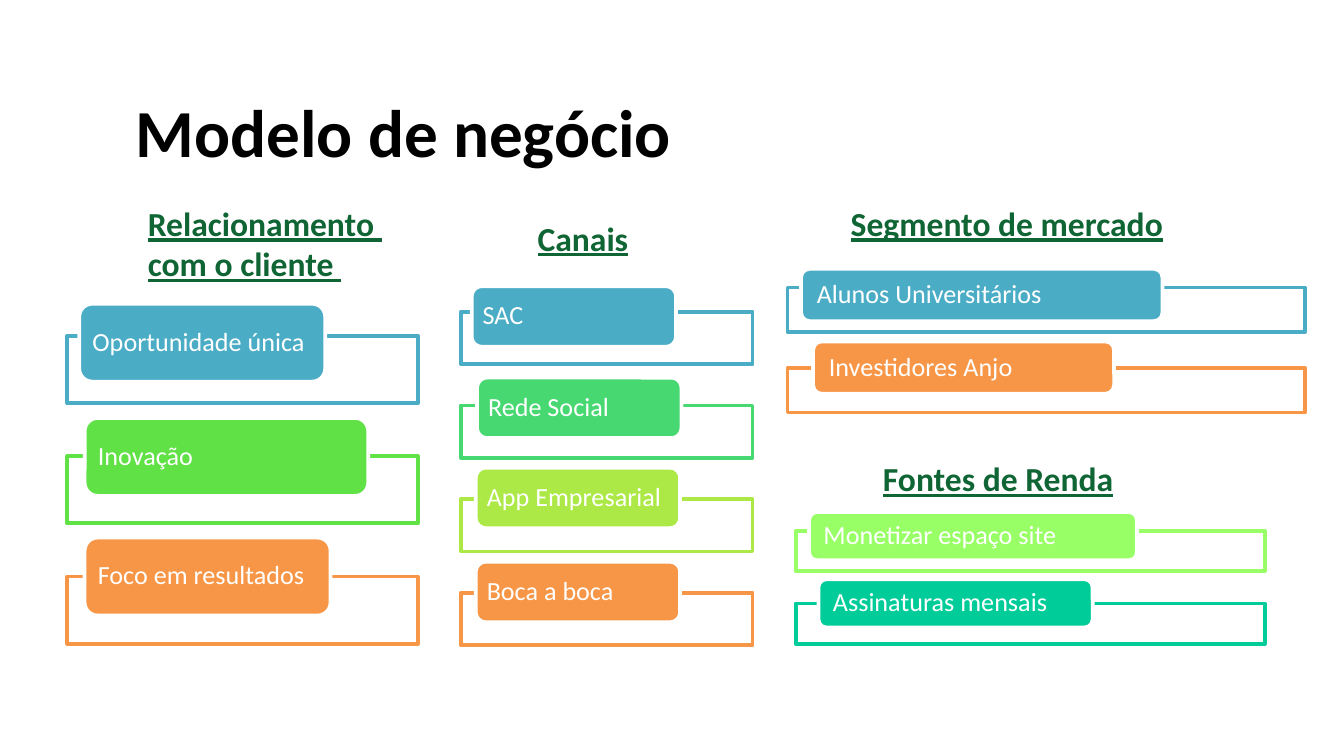
from lxml import etree
from pptx import Presentation
from pptx.dml.color import RGBColor
from pptx.enum import shapes as sh, text as tx
from pptx.oxml.ns import qn
from pptx.util import Inches, Pt


def rgb(code):
    return RGBColor.from_string(code)


def add_box(group, kind, area, fill, line):
    box = group.shapes.add_shape(kind, *map(Inches, area))
    box.shadow.inherit = False
    box.fill.solid()
    box.fill.fore_color.rgb = rgb(fill)
    box.line.color.rgb = rgb(line)
    box.line.width = Pt(2)
    return box


WHITE = "FFFFFF"
BLUE = "4BACC6"
ORANGE = "F79646"

prs = Presentation()
prs.slide_width = Inches(10)
prs.slide_height = Inches(10) * 9 // 16
slide = prs.slides.add_slide(prs.slide_layouts[5])

title = slide.shapes.title
title.left, title.top = Inches(0.91), Inches(0.62)
title.width, title.height = Inches(8.74), Inches(0.71)
title.text = "Modelo de negócio"
title.text_frame.vertical_anchor = tx.MSO_ANCHOR.MIDDLE
para = title.text_frame.paragraphs[0]
para.alignment = tx.PP_ALIGN.LEFT
para.font.name = "Calibri"
para.font.size = Pt(36)
para.font.bold = True
para.font.color.rgb = rgb("000000")

heads = [
    ("Relacionamento \ncom o cliente ", 1.05, 1.46, 2.36, 0.68),
    ("Canais", 3.95, 1.57, 2.45, 0.36),
    ("Segmento de mercado", 6.28, 1.46, 2.43, 0.36),
    ("Fontes de Renda", 6.52, 3.36, 2.8, 0.36),
]
for words, *area in heads:
    frame = slide.shapes.add_textbox(*map(Inches, area)).text_frame
    frame.word_wrap = True
    frame.margin_left = frame.margin_right = Inches(0.05)
    frame.margin_top = frame.margin_bottom = Inches(0.05)
    frame.text = words
    for para in frame.paragraphs:
        para.font.name = "Calibri"
        para.font.size = Pt(18)
        para.font.bold = True
        para.font.underline = True
        para.font.color.rgb = rgb("106534")

lists = [
    (0.5, 2.5, 4.29, 2.61, 0.5, 0.58, 0.07, [
        ("Oportunidade única", BLUE, 0.59, 2.26, 1.83),
        ("Inovação", "60E146", 0.63, 3.11, 2.11),
        ("Foco em resultados", ORANGE, 0.63, 4, 1.83),
    ]),
    (3.43, 2.32, 4.41, 2.17, 0.39, 0.45, 0.06, [
        ("SAC", BLUE, 3.51, 2.13, 1.52),
        ("Rede Social", "47D872", 3.55, 2.81, 1.52),
        ("App Empresarial", "ACE946", 3.54, 3.48, 1.52),
        ("Boca a boca", ORANGE, 3.54, 4.18, 1.52),
    ]),
    (5.86, 2.14, 2.74, 3.85, 0.33, 0.39, 0.1, [
        ("Alunos Universitários", BLUE, 5.96, 2, 2.69),
        ("Investidores Anjo", ORANGE, 6.05, 2.54, 2.24),
    ]),
    (5.92, 3.95, 4.49, 3.49, 0.3, 0.36, 0.09, [
        ("Monetizar espaço site", "99FF66", 6.02, 3.81, 2.44),
        ("Assinaturas mensais", "00CC99", 6.09, 4.31, 2.04),
    ]),
]
for left, first, last, width, height, tall, inset, items in lists:
    group = slide.shapes.add_group_shape()
    step = (last - first) / (len(items) - 1)
    for row, (words, color, x, y, wide) in enumerate(items):
        area = (left, first + row * step, width, height)
        back = add_box(group, sh.MSO_SHAPE.RECTANGLE, area, WHITE, color)
        tint = back.fill._xPr.find(".//" + qn("a:srgbClr"))
        etree.SubElement(tint, qn("a:alpha"), val="90000")

        area = (x, y, wide, tall)
        label = add_box(group, sh.MSO_SHAPE.ROUNDED_RECTANGLE, area, color, WHITE)
        frame = label.text_frame
        frame.word_wrap = True
        frame.vertical_anchor = tx.MSO_ANCHOR.MIDDLE
        frame.margin_left = frame.margin_right = Inches(inset)
        frame.margin_top = frame.margin_bottom = 0
        frame.text = words
        para = frame.paragraphs[0]
        para.alignment = tx.PP_ALIGN.LEFT
        para.line_spacing = 0.9
        para.font.name = "Calibri"
        para.font.size = Pt(14)
        para.font.color.rgb = rgb(WHITE)

prs.save("out.pptx")
